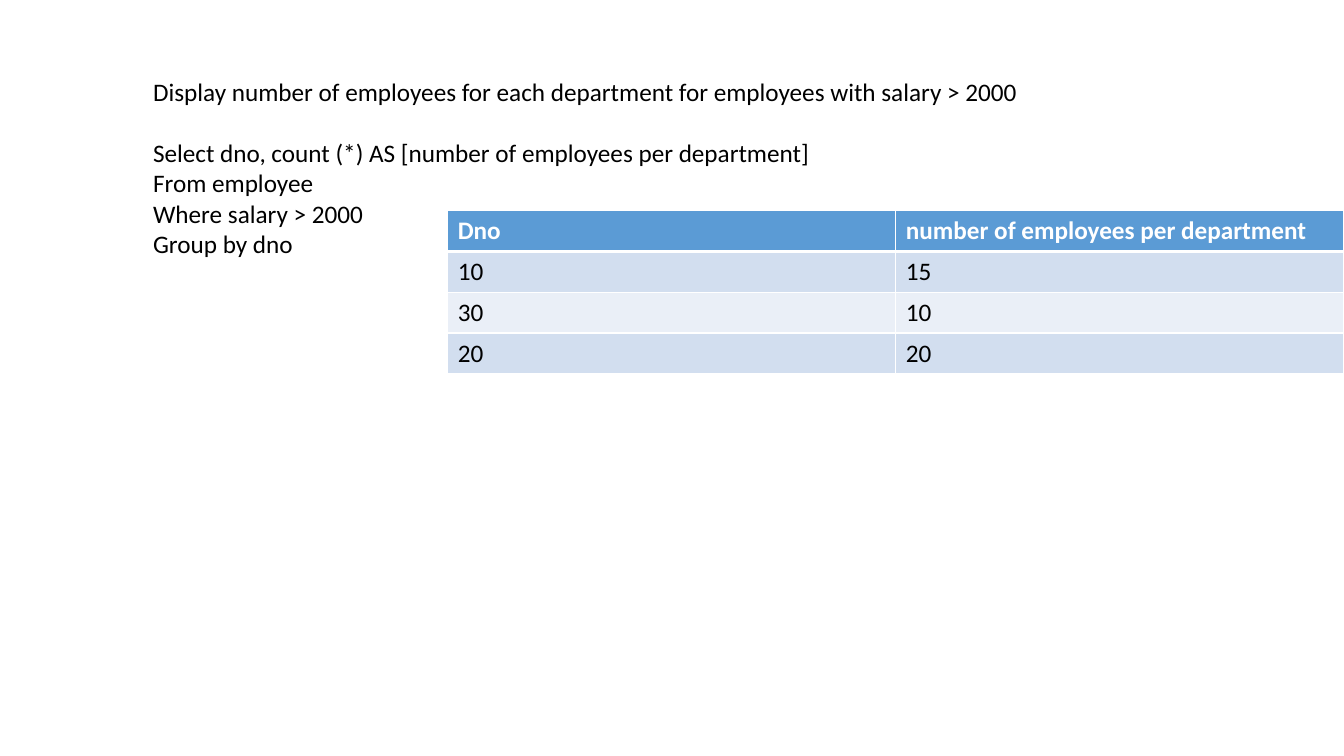
"""Build a slide showing a grouped count query and its result table."""
import dataclasses

import lxml.etree
import pptx
import pptx.dml.color
import pptx.enum.text
import pptx.oxml.ns
import pptx.slide
import pptx.table
import pptx.text.text
import pptx.util

Inches = pptx.util.Inches
FONT = "Calibri"
COLOURS = {
    "text": "000000",
    "white": "FFFFFF",
    "header": "5B9BD5",
    "band_dark": "D2DEEF",
    "band_light": "EAEFF7",
}


@dataclasses.dataclass(frozen=True)
class TableRow:
    """Values and look of one table row."""

    values: tuple[str, str]
    fill: str
    colour: str = "text"
    bold: bool = False
    top: float = 1
    bottom: float = 1


@dataclasses.dataclass(frozen=True)
class Line:
    """One line of text and the gap above it in points."""

    text: str
    gap: float = 0


LINES = (
    Line("Display number of employees for each department for employees with salary > 2000"),
    Line("Select dno, count (*) AS [number of employees per department]", gap=22),
    Line("From employee"),
    Line("Where salary > 2000"),
    Line("Group by dno"),
)
ROWS = (
    TableRow(("Dno", "number of employees per department"), "header", "white", bold=True, bottom=3),
    TableRow(("10", "15"), "band_dark", top=3),
    TableRow(("30", "10"), "band_light"),
    TableRow(("20", "20"), "band_dark"),
)


def rgb(name: str) -> pptx.dml.color.RGBColor:
    """Return a named colour."""
    return pptx.dml.color.RGBColor.from_string(COLOURS[name])


def style_font(para: pptx.text.text._Paragraph, colour: str, bold: bool = False) -> None:
    """Set the font of a paragraph."""
    para.font.name = FONT
    para.font.size = pptx.util.Pt(18)
    para.font.bold = bold
    para.font.color.rgb = rgb(colour)


def add_border(cell: pptx.table._Cell, side: str, width: float) -> None:
    """Draw a white border on one side of a cell."""
    qn = pptx.oxml.ns.qn
    properties = cell._tc.get_or_add_tcPr()
    border = lxml.etree.SubElement(properties, qn(f"a:ln{side}"), w=str(pptx.util.Pt(width)))
    fill = lxml.etree.SubElement(border, qn("a:solidFill"))
    lxml.etree.SubElement(fill, qn("a:srgbClr"), val=COLOURS["white"])


def add_query(page: pptx.slide.Slide) -> None:
    """Add the question and the query that answers it."""
    box = page.shapes.add_textbox(Inches(1.42), Inches(0.71), Inches(8.88), Inches(1.92))
    frame = box.text_frame
    frame.word_wrap = False
    frame.auto_size = pptx.enum.text.MSO_AUTO_SIZE.SHAPE_TO_FIT_TEXT
    frame.text = "\n".join(line.text for line in LINES)
    for para, line in zip(frame.paragraphs, LINES):
        para.space_before = pptx.util.Pt(line.gap)
        style_font(para, "text")


def add_result(page: pptx.slide.Slide) -> None:
    """Add the table of query results."""
    frame = page.shapes.add_table(
        len(ROWS), 2, Inches(4.44), Inches(2.09), Inches(8.89), Inches(1.62)
    )
    for row, table_row in zip(ROWS, frame.table.rows):
        for value, cell in zip(row.values, table_row.cells):
            cell.text = value
            style_font(cell.text_frame.paragraphs[0], row.colour, row.bold)
            for side, width in (("L", 1), ("R", 1), ("T", row.top), ("B", row.bottom)):
                add_border(cell, side, width)
            cell.fill.solid()
            cell.fill.fore_color.rgb = rgb(row.fill)


def main() -> None:
    """Create and save the deck."""
    deck = pptx.Presentation()
    deck.slide_width = Inches(13.33)
    deck.slide_height = Inches(7.5)
    page = deck.slides.add_slide(deck.slide_layouts[6])
    add_query(page)
    add_result(page)
    deck.save("out.pptx")


if __name__ == "__main__":
    main()
